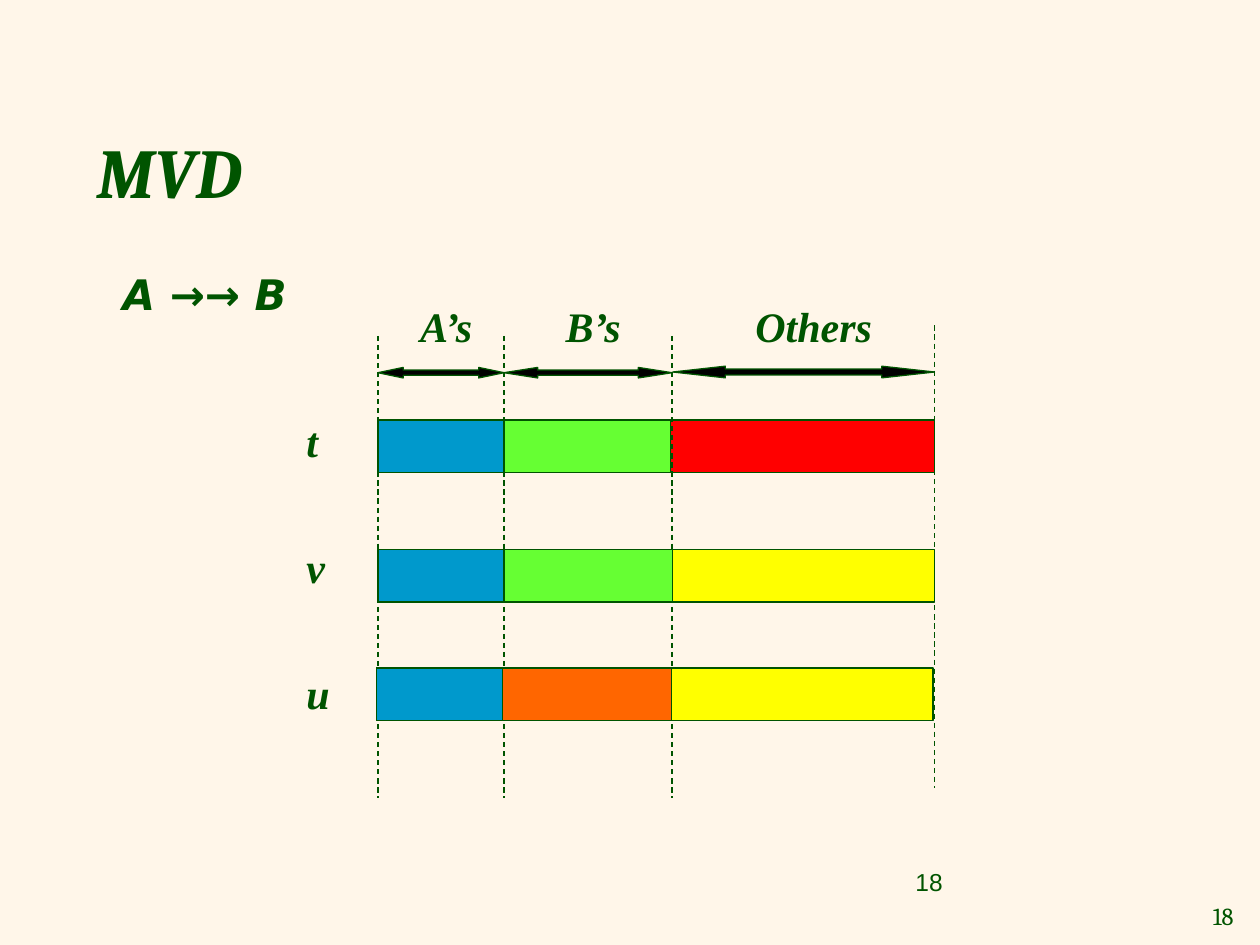
import pptx
import pptx.dml.color
import pptx.enum.dml
import pptx.enum.shapes
import pptx.enum.text
import pptx.oxml.ns
import pptx.util
from lxml import etree

Pt = pptx.util.Pt
GREEN, BLUE, LIME, YELLOW = "005400", "0099CC", "66FF33", "FFFF00"
RED, ORANGE, BLACK, CREAM = "FF0000", "FF6600", "000000", "FFF6E9"
LEFT = pptx.enum.text.PP_ALIGN.LEFT
CENTER = pptx.enum.text.PP_ALIGN.CENTER
RIGHT = pptx.enum.text.PP_ALIGN.RIGHT
TOP = pptx.enum.text.MSO_ANCHOR.TOP
MIDDLE = pptx.enum.text.MSO_ANCHOR.MIDDLE
RECTANGLE = pptx.enum.shapes.MSO_SHAPE.RECTANGLE
ARROW = pptx.enum.shapes.MSO_SHAPE.LEFT_RIGHT_ARROW
EDGES = [216, 288, 384, 534]
BAR_HEIGHT = 30


def color(value):
    return pptx.dml.color.RGBColor.from_string(value)


def set_attributes(target, values):
    for name, value in values.items():
        setattr(target, name, value)


def write(shape, text, size, font, alignment=LEFT, anchor=TOP, wrap=True, strong=True):
    set_attributes(shape.text_frame, {
        "text": text,
        "word_wrap": wrap,
        "vertical_anchor": anchor,
        "auto_size": pptx.enum.text.MSO_AUTO_SIZE.NONE,
    })
    paragraph = shape.text_frame.paragraphs[0]
    paragraph.alignment = alignment
    run = paragraph.runs[0]
    set_attributes(run.font, {"name": font, "size": Pt(size), "bold": strong, "italic": strong})
    run.font.color.rgb = color(GREEN)


def add_label(slide, text, left, top, width, height=36, size=24, font="Times New Roman", **options):
    shape = slide.shapes.add_textbox(Pt(left), Pt(top), Pt(width), Pt(height))
    write(shape, text, size, font, **options)


def add_filled(slide, kind, left, top, width, height, fill):
    shape = slide.shapes.add_shape(kind, Pt(left), Pt(top), Pt(width), Pt(height))
    shape.shadow.inherit = False
    shape.fill.solid()
    shape.fill.fore_color.rgb = color(fill)
    shape.line.color.rgb = color(GREEN)
    shape.line.width = Pt(0.75)
    return shape


def add_bar(slide, left, top, width, fill):
    add_filled(slide, RECTANGLE, left, top, width, BAR_HEIGHT, fill)


def add_arrow(slide, left, right, top, height, head):
    shape = add_filled(slide, ARROW, left, top, right - left, height, BLACK)
    shape.adjustments[0] = 0.5
    shape.adjustments[1] = head


def add_guide(slide, x, top):
    connector = slide.shapes.add_connector(
        pptx.enum.shapes.MSO_CONNECTOR.STRAIGHT, Pt(x), Pt(top), Pt(x), Pt(top + 264))
    connector.line.color.rgb = color(GREEN)
    connector.line.width = Pt(0.75)
    connector.line.dash_style = pptx.enum.dml.MSO_LINE.DASH
    etree.SubElement(connector._element.spPr, pptx.oxml.ns.qn("a:effectLst"))


def add_title(slide, text):
    title = slide.shapes.title
    set_attributes(title, {"left": Pt(48), "top": Pt(48), "width": Pt(600), "height": Pt(99)})
    write(title, text, 40, "Cambria", anchor=MIDDLE)


def main():
    presentation = pptx.Presentation()
    set_attributes(presentation, {"slide_width": Pt(720), "slide_height": Pt(540)})
    slide = presentation.slides.add_slide(presentation.slide_layouts[5])
    slide.background.fill.solid()
    slide.background.fill.fore_color.rgb = color(CREAM)

    add_title(slide, "MVD")
    add_label(slide, "18", 680.5, 511, 31.5, 24, 14, "Cambria",
              alignment=RIGHT, anchor=MIDDLE, wrap=False, strong=False)
    add_label(slide, "18", 516, 492, 168, 37.5, 14, "Arial", strong=False)
    add_label(slide, "A →→ B", 24, 150, 186, font="DejaVu Sans", alignment=CENTER)

    start, first, second, end = EDGES
    add_bar(slide, start, 240, end - start, RED)
    for x in EDGES[:3]:
        add_guide(slide, x, 192)

    rows = [
        ("t", 234, start, 240, 95, BLUE, LIME, None),
        ("v", 306, start, 314, 96.5, BLUE, LIME, YELLOW),
        ("u", 378, start - 0.75, 381.75, 96.5, BLUE, ORANGE, YELLOW),
    ]
    for name, label_top, left, top, middle_width, a_fill, b_fill, base_fill in rows:
        if base_fill:
            add_bar(slide, left, top, end - start, base_fill)
        add_bar(slide, left, top, first - start, a_fill)
        add_bar(slide, left + first - start, top, middle_width, b_fill)
        add_label(slide, name, 168, label_top, 36)

    add_guide(slide, end, 186)
    add_arrow(slide, start, first, 210, 6, 2.4)
    add_arrow(slide, first, second, 210, 6, 3.2)
    add_arrow(slide, second + 0.5, end, 209.25, 6.65, 4.51)
    for text, left, width in [("A’s", 228, 54), ("B’s", 306, 66), ("Others", 414, 102)]:
        add_label(slide, text, left, 168, width, alignment=CENTER)

    presentation.save("out.pptx")


if __name__ == "__main__":
    main()
